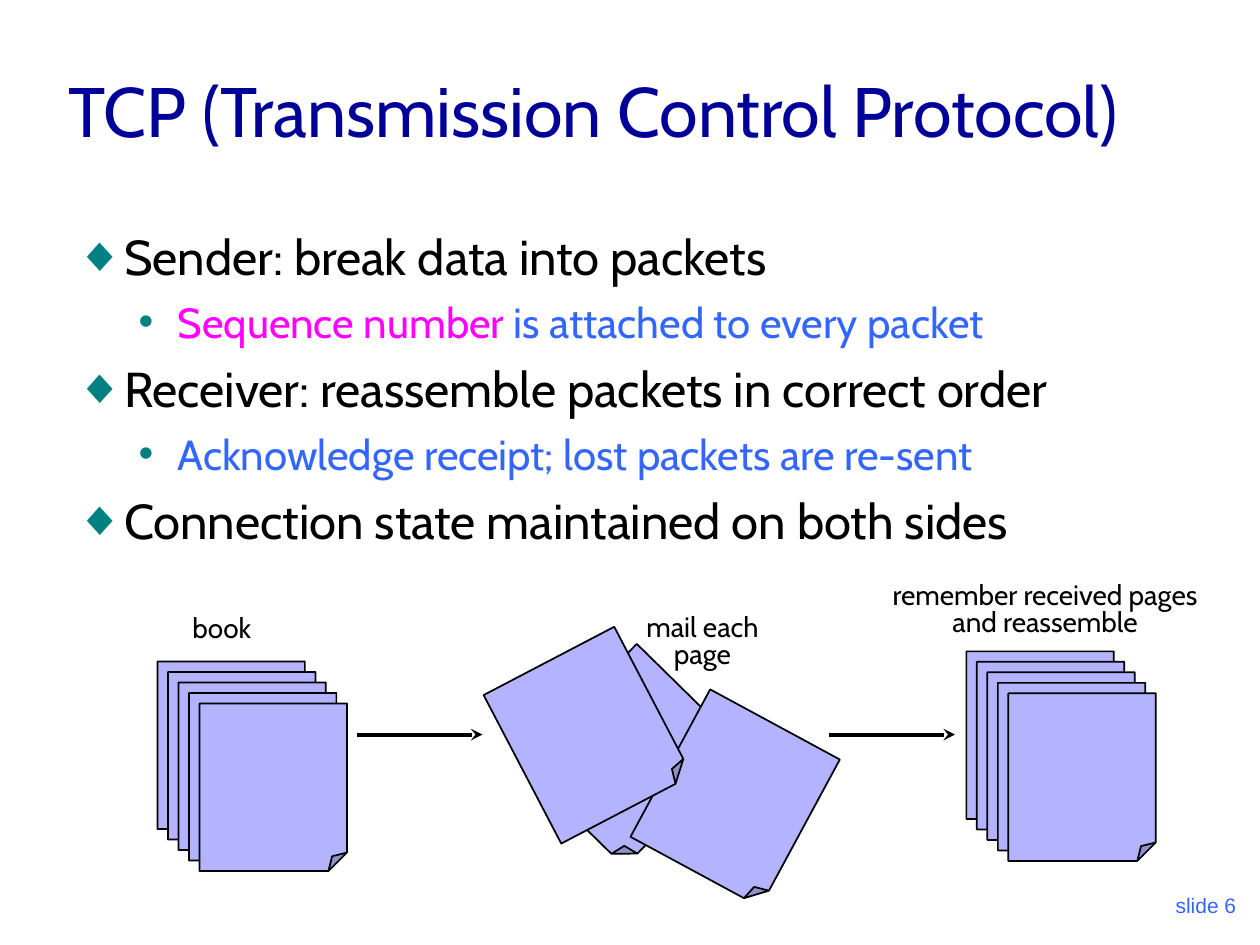
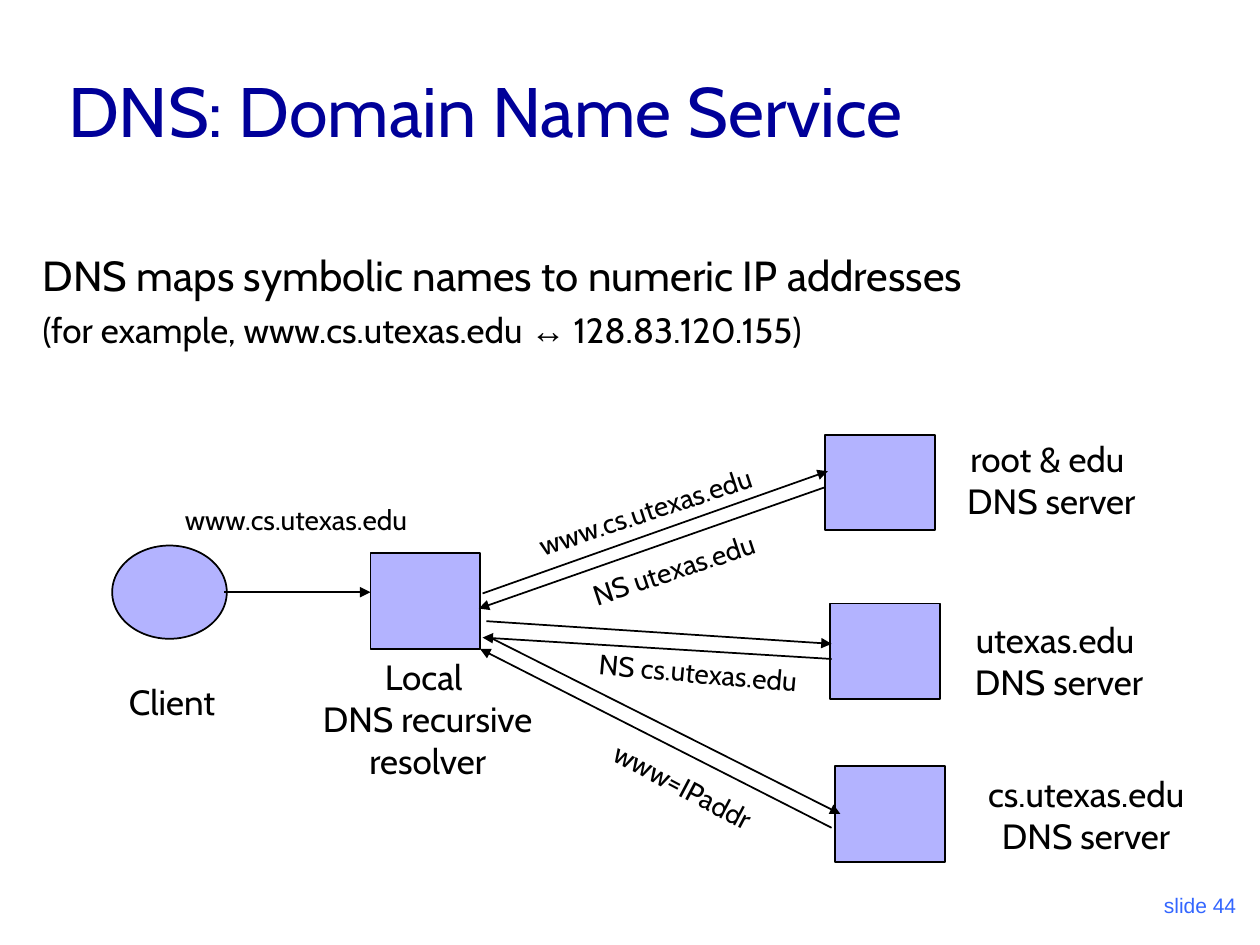
from lxml.etree import SubElement
from pptx import Presentation
from pptx.dml.color import RGBColor
from pptx.enum.shapes import MSO_CONNECTOR, MSO_SHAPE
from pptx.enum.text import MSO_ANCHOR, MSO_AUTO_SIZE, PP_ALIGN
from pptx.oxml.ns import qn
from pptx.util import Inches, Pt

COLORS = {
    "title": "000099",
    "text": "000000",
    "detail": "3366FF",
    "highlight": "FF00FF",
    "bullet": "008080",
    "shape": "B3B3FF",
}
FONT = "Cabin"
SYMBOL_FONT = "Arial"
TITLE_AND_BODY, TITLE_ONLY = 1, 5
# bullet, left margin, first-line indent, text size, space before, colour
LIST_LEVELS = [
    ("◆", 0.38, -0.38, 28, 7, "text"),
    ("•", 0.81, -0.31, 24, 6, "detail"),
]
PAGE_SIZE = (1.17, 1.33)
PAGE_STEP = 1 / 12
SERVER_SIZE = (0.87, 0.76)


def box(left, top, width, height):
    return Inches(left), Inches(top), Inches(width), Inches(height)


def set_font(font, size, color, name=FONT):
    font.size = Pt(size)
    font.name = name
    font.color.rgb = RGBColor.from_string(COLORS[color])


def add_bullet(paragraph, character, margin, indent):
    properties = paragraph._p.get_or_add_pPr()
    properties.set("marL", str(Inches(margin)))
    properties.set("indent", str(Inches(indent)))
    bullet_color = SubElement(properties, qn("a:buClr"))
    SubElement(bullet_color, qn("a:srgbClr"), val=COLORS["bullet"])
    SubElement(properties, qn("a:buFont"), typeface=SYMBOL_FONT)
    SubElement(properties, qn("a:buChar"), char=character)


class Deck:
    """Holds the shared style and the slide being built."""

    def __init__(self):
        self.presentation = Presentation()
        self.presentation.slide_width = Inches(10)
        self.presentation.slide_height = Inches(7.5)
        self.slide = None

    def new_slide(self, layout, title, number, title_width):
        layouts = self.presentation.slide_layouts
        self.slide = self.presentation.slides.add_slide(layouts[layout])
        self.label([f"slide {number}"], (7.83, 6.83, 2.08, 0.5), 12,
                   color="detail", font=SYMBOL_FONT, align=PP_ALIGN.RIGHT,
                   anchor=MSO_ANCHOR.BOTTOM, wrap=True)
        shape = self.slide.shapes.title
        self.place(shape, (0.44, 0.25, title_width, 1))
        shape.text_frame.vertical_anchor = MSO_ANCHOR.BOTTOM
        paragraph = shape.text_frame.paragraphs[0]
        paragraph.text = title
        paragraph.alignment = PP_ALIGN.LEFT
        set_font(paragraph.font, 40, "title")

    def place(self, shape, bounds):
        shape.left, shape.top, shape.width, shape.height = box(*bounds)
        shape.text_frame.auto_size = MSO_AUTO_SIZE.NONE

    def bullets(self, items, bounds):
        """Fill the body with (level, runs); a run is (text, colour or None)."""
        body = self.slide.placeholders[1]
        self.place(body, bounds)
        frame = body.text_frame
        for index, (level, runs) in enumerate(items):
            paragraph = frame.add_paragraph() if index else frame.paragraphs[0]
            character, margin, indent, size, space, color = LIST_LEVELS[level]
            paragraph.level = level
            paragraph.space_before = Pt(space if index else 0)
            add_bullet(paragraph, character, margin, indent)
            set_font(paragraph.font, size, color)
            for text, run_color in runs:
                run = paragraph.add_run()
                run.text = text
                if run_color:
                    set_font(run.font, size, run_color)

    def label(self, lines, bounds, size, color="text", font=FONT,
              align=PP_ALIGN.CENTER, anchor=MSO_ANCHOR.MIDDLE, wrap=False,
              rotation=0, spacing=None, space_before=0):
        shape = self.slide.shapes.add_textbox(*box(*bounds))
        shape.rotation = rotation
        frame = shape.text_frame
        frame.word_wrap = wrap
        frame.vertical_anchor = anchor
        for index, line in enumerate(lines):
            paragraph = frame.add_paragraph() if index else frame.paragraphs[0]
            paragraph.text = line
            paragraph.alignment = align
            paragraph.line_spacing = spacing
            paragraph.space_before = Pt(space_before if index else 0)
            set_font(paragraph.font, size, color, font)
        return frame

    def caption(self, lines, bounds, spacing=0.6):
        self.label(lines, bounds, 16, anchor=MSO_ANCHOR.TOP,
                   spacing=spacing, space_before=4)

    def shape(self, kind, left, top, size, rotation=0):
        shape = self.slide.shapes.add_shape(kind, *box(left, top, *size))
        shape.rotation = rotation
        shape.shadow.inherit = False
        shape.fill.solid()
        shape.fill.fore_color.rgb = RGBColor.from_string(COLORS["shape"])
        shape.line.color.rgb = RGBColor.from_string(COLORS["text"])
        shape.line.width = Pt(1)
        return shape

    def page(self, left, top, rotation=0):
        page = self.shape(MSO_SHAPE.FOLDED_CORNER, left, top, PAGE_SIZE, rotation)
        guides = next(page._element.iter(qn("a:avLst")))
        SubElement(guides, qn("a:gd"), name="adj", fmla="val 12500")

    def page_stack(self, left, top, count=5):
        for index in range(count):
            self.page(left + index * PAGE_STEP, top + index * PAGE_STEP)

    def arrow(self, start, end, width=1, head="triangle"):
        points = [Inches(value) for value in (*start, *end)]
        connector = self.slide.shapes.add_connector(MSO_CONNECTOR.STRAIGHT, *points)
        connector.line.width = Pt(width)
        connector.line.color.rgb = RGBColor.from_string(COLORS["text"])
        properties = connector._element.spPr
        SubElement(properties.find(qn("a:ln")), qn("a:tailEnd"), type=head)
        SubElement(properties, qn("a:effectLst"))


def build_tcp_slide(deck):
    deck.new_slide(TITLE_AND_BODY, "TCP (Transmission Control Protocol)", 6, 9.22)
    deck.bullets([
        (0, [("Sender: break data into packets", None)]),
        (1, [("Sequence number", "highlight"),
             (" is attached to every packet", "detail")]),
        (0, [("Receiver: reassemble packets in correct order", None)]),
        (1, [("Acknowledge receipt; lost packets are re-sent", None)]),
        (0, [("Connection state maintained on both sides", None)]),
    ], (0.5, 1.75, 8.94, 4.88))

    deck.page_stack(1.25, 5.25)
    deck.caption(["book"], (1.4, 4.85, 0.72, 0.32), spacing=0.8)
    for left, top, rotation in [(4.42, 5.33, 44.5), (5.25, 5.67, 28.4),
                                (4.08, 5.17, 332.4)]:
        deck.page(left, top, rotation)
    deck.caption(["mail each", "page"], (4.98, 4.88, 1.19, 0.48))
    deck.page_stack(7.67, 5.17)
    deck.caption(["remember received pages", "and reassemble"],
                 (6.83, 4.63, 2.93, 0.48))
    for left in (2.83, 6.58):
        deck.arrow((left, 5.83), (left + 1, 5.83), 2.25, "stealth")


def build_dns_slide(deck):
    deck.new_slide(TITLE_ONLY, "DNS: Domain Name Service", 44, 8.5)
    introduction = deck.label(
        ["DNS maps symbolic names to numeric IP addresses"],
        (0.24, 1.93, 8.3, 0.91), 24, align=PP_ALIGN.LEFT,
        anchor=MSO_ANCHOR.TOP, wrap=True)
    example = introduction.add_paragraph()
    example.space_before = Pt(5)
    for text, font in [("(for example, www.cs.utexas.edu ", FONT),
                       ("↔", SYMBOL_FONT), (" 128.83.120.155)", FONT)]:
        run = example.add_run()
        run.text = text
        set_font(run.font, 20, "text", font)

    deck.shape(MSO_SHAPE.OVAL, 0.89, 4.33, (0.91, 0.74))
    for left, top in [(2.94, 4.39), (6.55, 3.45), (6.59, 4.79), (6.63, 6.08)]:
        deck.shape(MSO_SHAPE.RECTANGLE, left, top, SERVER_SIZE)

    for lines, bounds in [
        (["Client"], (0.89, 5.35, 0.95, 0.44)),
        (["Local ", "DNS recursive", "resolver"], (2.38, 5.15, 2.03, 1.1)),
        (["root & edu ", "DNS server"], (7.51, 3.42, 1.67, 0.77)),
        (["utexas.edu ", "DNS server"], (7.55, 4.86, 1.71, 0.77)),
        (["cs.utexas.edu", "DNS server"], (7.63, 6.08, 1.98, 0.77)),
    ]:
        deck.label(lines, bounds, 20)

    for start, end in [
        ((1.78, 4.7), (2.94, 4.7)),
        ((3.83, 4.71), (6.57, 3.74)),
        ((6.54, 3.87), (3.8, 4.83)),
        ((3.86, 4.93), (6.6, 5.11)),
        ((6.6, 5.23), (3.83, 5.06)),
        ((3.89, 5.06), (6.67, 6.46)),
        ((6.6, 6.57), (3.81, 5.15)),
    ]:
        deck.arrow(start, end)

    for message, left, top, width, rotation in [
        ("www.cs.utexas.edu", 1.25, 3.94, 2.2, 0),
        ("www.cs.utexas.edu", 4.02, 3.87, 2.2, 341.6),
        ("NS utexas.edu", 4.5, 4.33, 1.69, 341.6),
        ("NS cs.utexas.edu", 4.56, 5.15, 1.96, 5),
        ("www=IPaddr", 4.65, 6.05, 1.54, 27.8),
    ]:
        deck.label([message], (left, top, width, 0.37), 16, rotation=rotation)


def main():
    deck = Deck()
    build_tcp_slide(deck)
    build_dns_slide(deck)
    deck.presentation.save("out.pptx")


if __name__ == "__main__":
    main()
